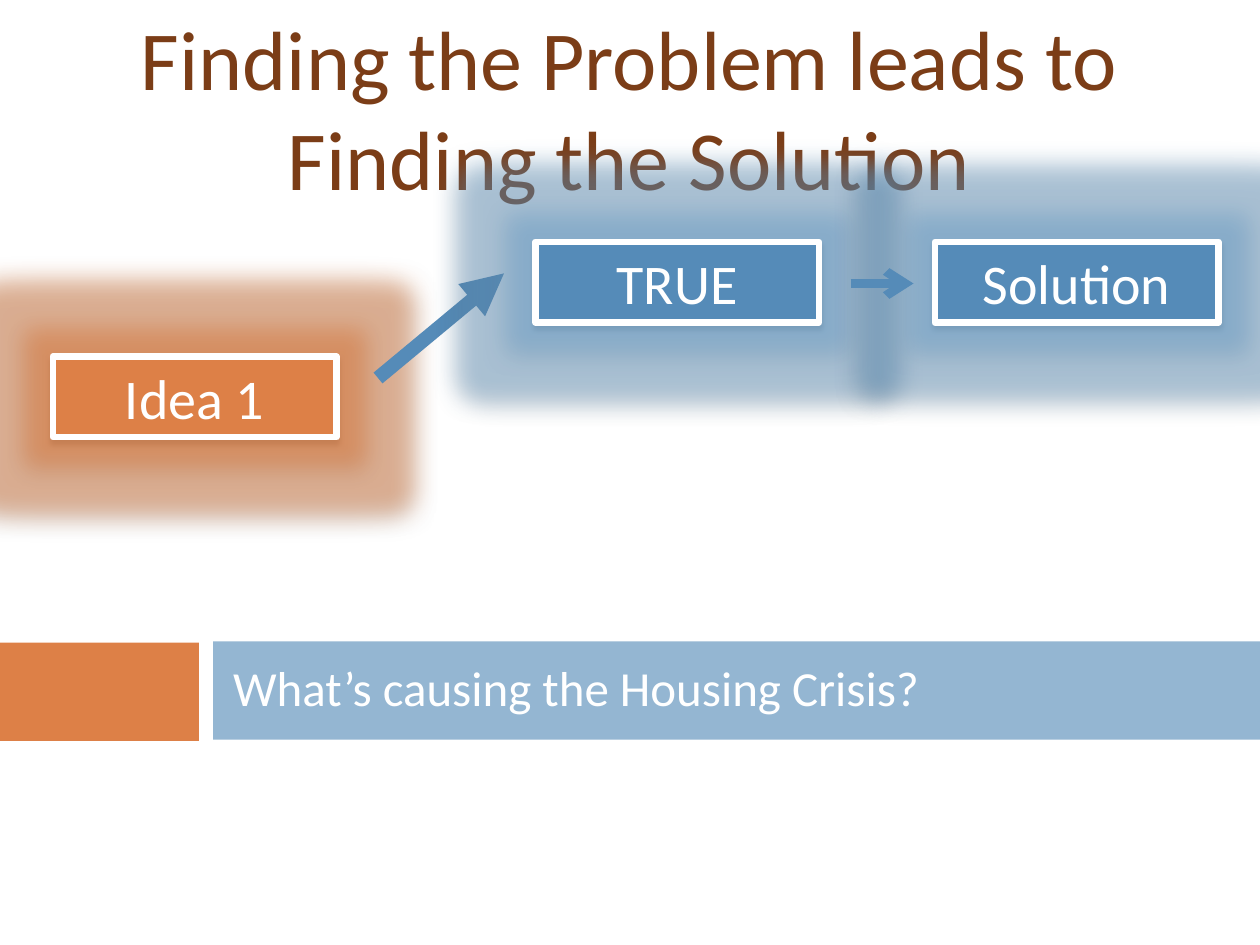
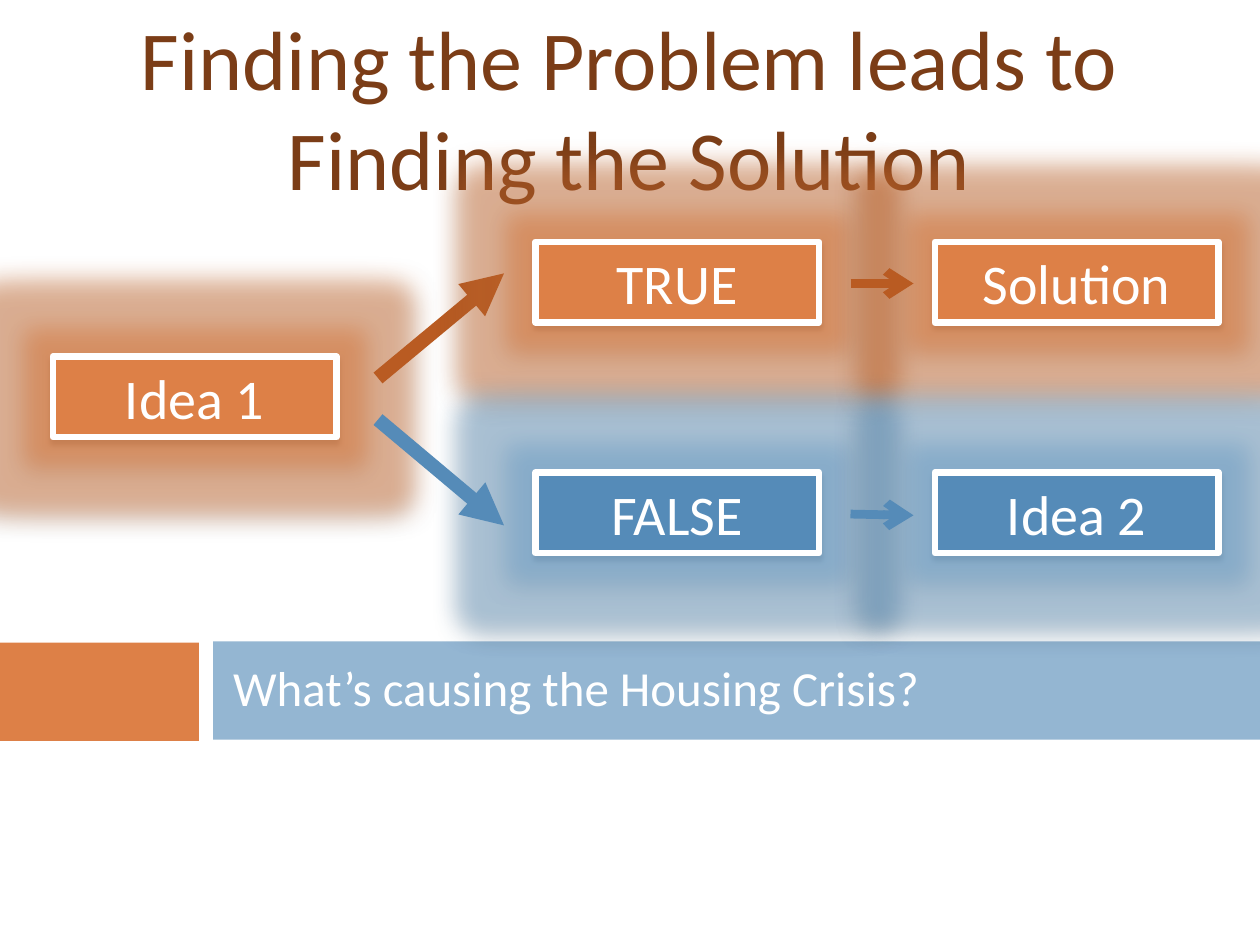
from lxml import etree
from pptx import Presentation
from pptx.dml.color import RGBColor
from pptx.enum.shapes import MSO_CONNECTOR, MSO_SHAPE
from pptx.enum.text import MSO_ANCHOR, MSO_AUTO_SIZE, PP_ALIGN
from pptx.oxml import parse_xml
from pptx.oxml.ns import qn
from pptx.util import Inches, Pt

RECTANGLE = MSO_SHAPE.RECTANGLE
STRAIGHT = MSO_CONNECTOR.STRAIGHT
MIDDLE = MSO_ANCHOR.MIDDLE
FIT_SHAPE, NO_FIT = MSO_AUTO_SIZE.SHAPE_TO_FIT_TEXT, MSO_AUTO_SIZE.NONE
LEFT, CENTER = PP_ALIGN.LEFT, PP_ALIGN.CENTER

COLORS = {
    "orange": "DD8047",
    "blue": "558BB8",
    "dark orange": "B95B22",
    "pale blue": "94B6D2",
    "brown": "7B3D17",
    "white": "FFFFFF",
}
GLOWS = {"orange": "E87A35", "blue": "6FA8D6"}
FONT = "Calibri"
EFFECTS = (
    '<a:effectLst xmlns:a="http://schemas.openxmlformats.org/drawingml/2006/main">'
    '<a:glow rad="{radius}"><a:srgbClr val="{glow}"><a:alpha val="40000"/></a:srgbClr></a:glow>'
    '<a:outerShdw blurRad="38100" dist="30480" dir="5400000" rotWithShape="0">'
    '<a:srgbClr val="000000"><a:alpha val="45000"/></a:srgbClr></a:outerShdw>'
    "</a:effectLst>"
)

BANDS = [
    (-0.01, 5.1, 1.6, 0.78, "orange"),
    (1.69, 5.09, 8.31, 0.78, "pale blue"),
    (1.58, 0, 0.11, 7.51, "white"),
]
COLUMNS = [0.42, 4.25, 7.42]
TOP_ROW, MIDDLE_ROW, BOTTOM_ROW = 1.92, 2.83, 3.75

IDEA = ("box", "Idea 1", COLUMNS[0], MIDDLE_ROW, "orange")
TO_TRUE = (3, 3, 4, 2.17, 8, "triangle")
TO_FALSE = (3, 3.33, 4, 4.17, 8, "triangle")
TO_SOLUTION = (6.75, 2.25, 7.25, 2.25, 5, "arrow")
TO_IDEA_2 = (6.75, 4.08, 7.25, 4.09, 5, "arrow")
DIAGRAMS = [
    [
        IDEA,
        ("arrow", *TO_TRUE, "blue"),
        ("box", "TRUE", COLUMNS[1], TOP_ROW, "blue"),
        ("box", "Solution", COLUMNS[2], TOP_ROW, "blue"),
        ("arrow", *TO_SOLUTION, "blue"),
    ],
    [
        IDEA,
        ("arrow", *TO_TRUE, "dark orange"),
        ("box", "TRUE", COLUMNS[1], TOP_ROW, "orange"),
        ("box", "FALSE", COLUMNS[1], BOTTOM_ROW, "blue"),
        ("arrow", *TO_FALSE, "blue"),
        ("box", "Solution", COLUMNS[2], TOP_ROW, "orange"),
        ("box", "Idea 2", COLUMNS[2], BOTTOM_ROW, "blue"),
        ("arrow", *TO_SOLUTION, "dark orange"),
        ("arrow", *TO_IDEA_2, "blue"),
    ],
]


def add_block(slide, left, top, width, height, color):
    block = slide.shapes.add_shape(
        RECTANGLE, Inches(left), Inches(top), Inches(width), Inches(height)
    )
    block.shadow.inherit = False
    block.fill.solid()
    block.fill.fore_color.rgb = RGBColor.from_string(COLORS[color])
    block.line.fill.background()
    return block


def write(frame, text, size, color, align, fit):
    frame.text = text
    frame.word_wrap = True
    frame.auto_size = fit
    for paragraph in frame.paragraphs:
        paragraph.alignment = align
        for run in paragraph.runs:
            run.font.name = FONT
            run.font.size = Pt(size)
            run.font.color.rgb = RGBColor.from_string(COLORS[color])


deck = Presentation()
deck.slide_width = Inches(10)
deck.slide_height = Inches(7.5)

for diagram in DIAGRAMS:
    slide = deck.slides.add_slide(deck.slide_layouts[5])
    for band in BANDS:
        add_block(slide, *band)

    question = slide.shapes.title
    slide.shapes._spTree.append(question._element)
    question.left, question.top = Inches(1.75), Inches(5.08)
    question.width, question.height = Inches(8), Inches(0.75)
    write(question.text_frame, "What’s causing the Housing Crisis?", 28, "white", LEFT, NO_FIT)
    question.text_frame.vertical_anchor = MIDDLE

    headline = slide.shapes.add_textbox(Inches(0.33), 0, Inches(9.33), Inches(1.72))
    write(
        headline.text_frame,
        "Finding the Problem leads to\nFinding the Solution",
        48, "brown", CENTER, FIT_SHAPE,
    )

    for kind, *details in diagram:
        if kind == "box":
            label, left, top, color = details
            step = add_block(slide, left, top, 2.25, 0.64, color)
            step.line.color.rgb = RGBColor.from_string(COLORS["white"])
            step.line.width = Pt(3.75)
            write(step.text_frame, label, 32, "white", CENTER, FIT_SHAPE)
            properties = step._element.spPr
            properties.replace(
                properties.find(qn("a:effectLst")),
                parse_xml(EFFECTS.format(radius=Inches(0.4), glow=GLOWS[color])),
            )
        else:
            x1, y1, x2, y2, weight, head, color = details
            arrow = slide.shapes.add_connector(
                STRAIGHT, Inches(x1), Inches(y1), Inches(x2), Inches(y2)
            )
            arrow.line.color.rgb = RGBColor.from_string(COLORS[color])
            arrow.line.width = Pt(weight)
            etree.SubElement(arrow.line._ln, qn("a:tailEnd"), type=head)
            etree.SubElement(arrow._element.spPr, qn("a:effectLst"))

deck.save("out.pptx")
